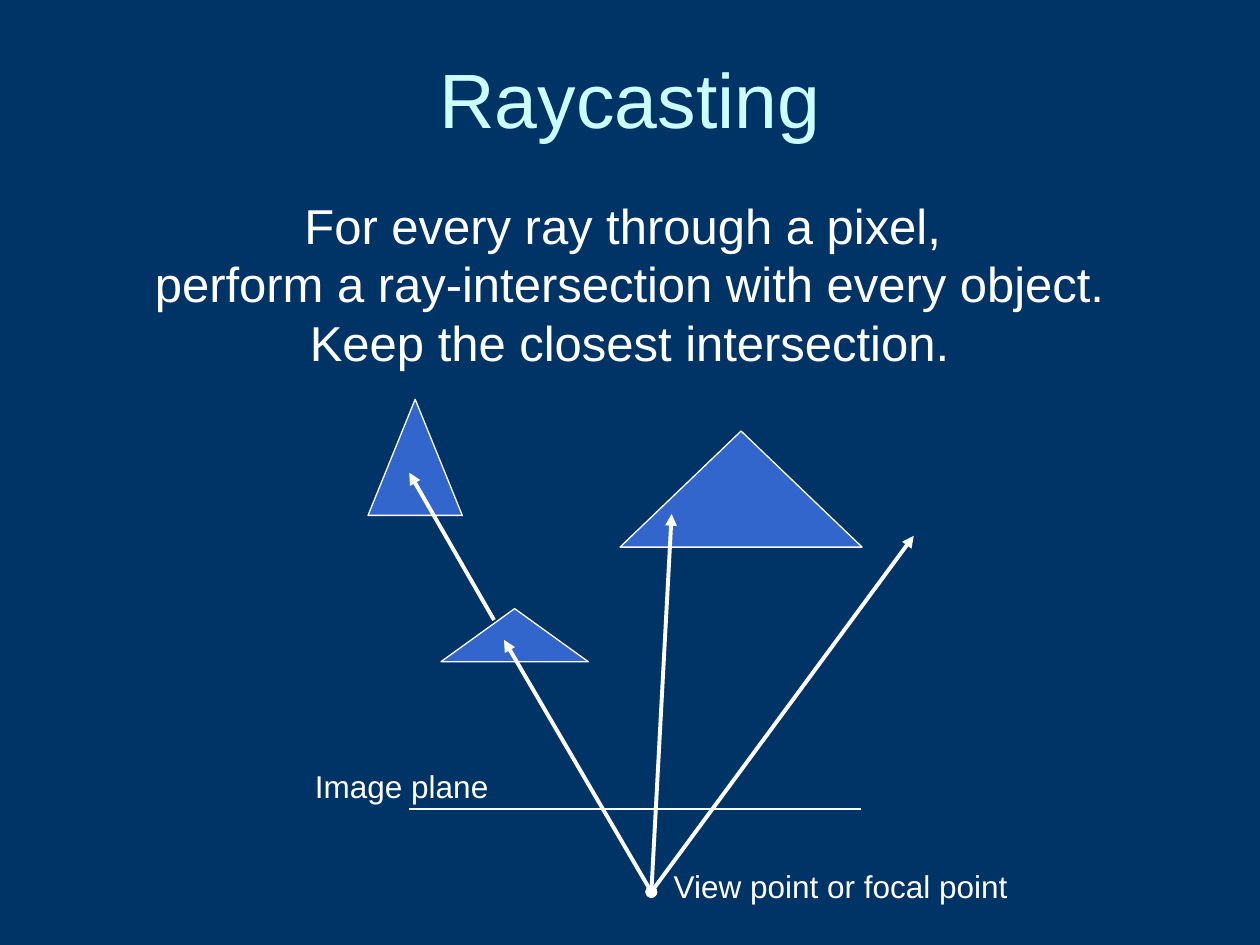
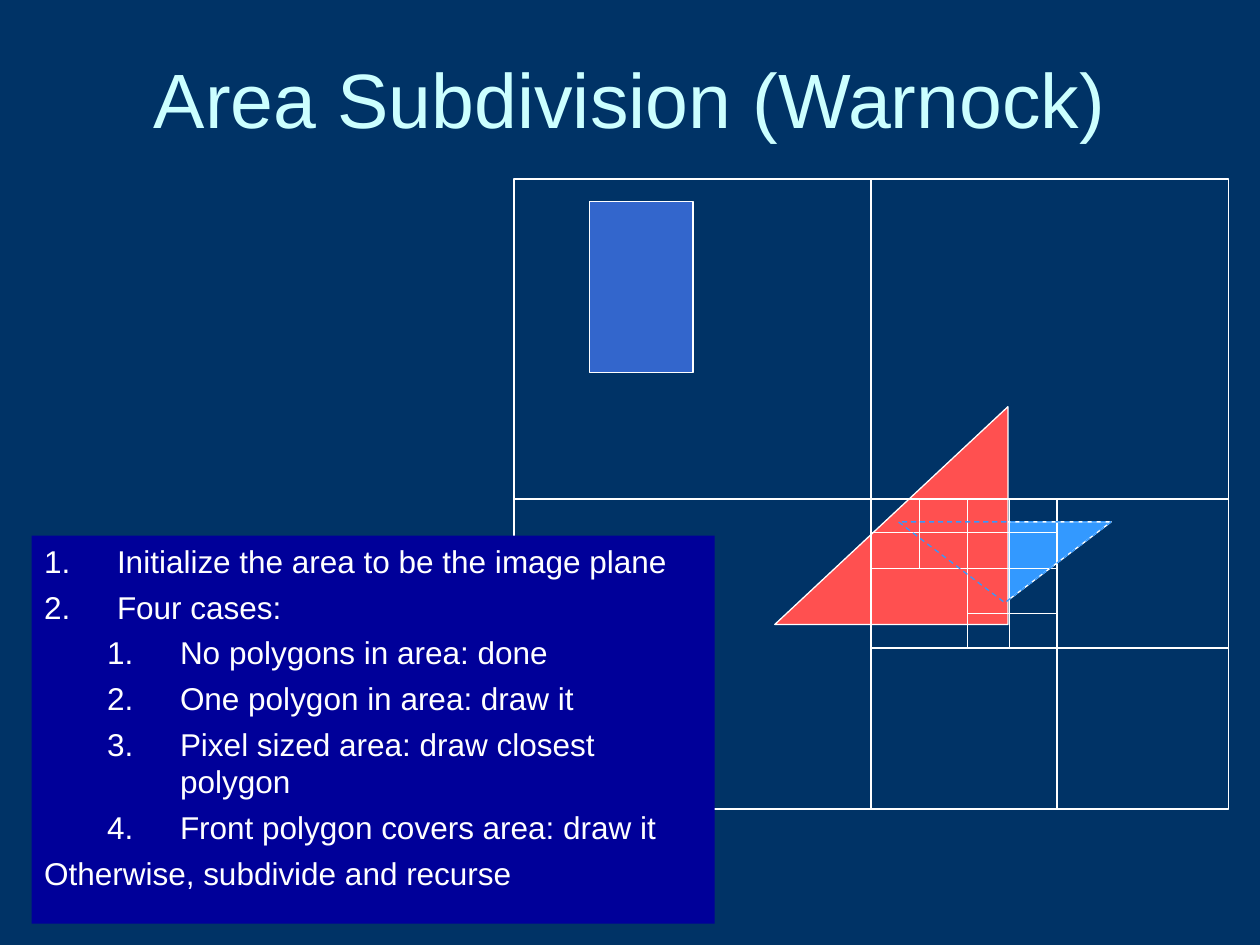
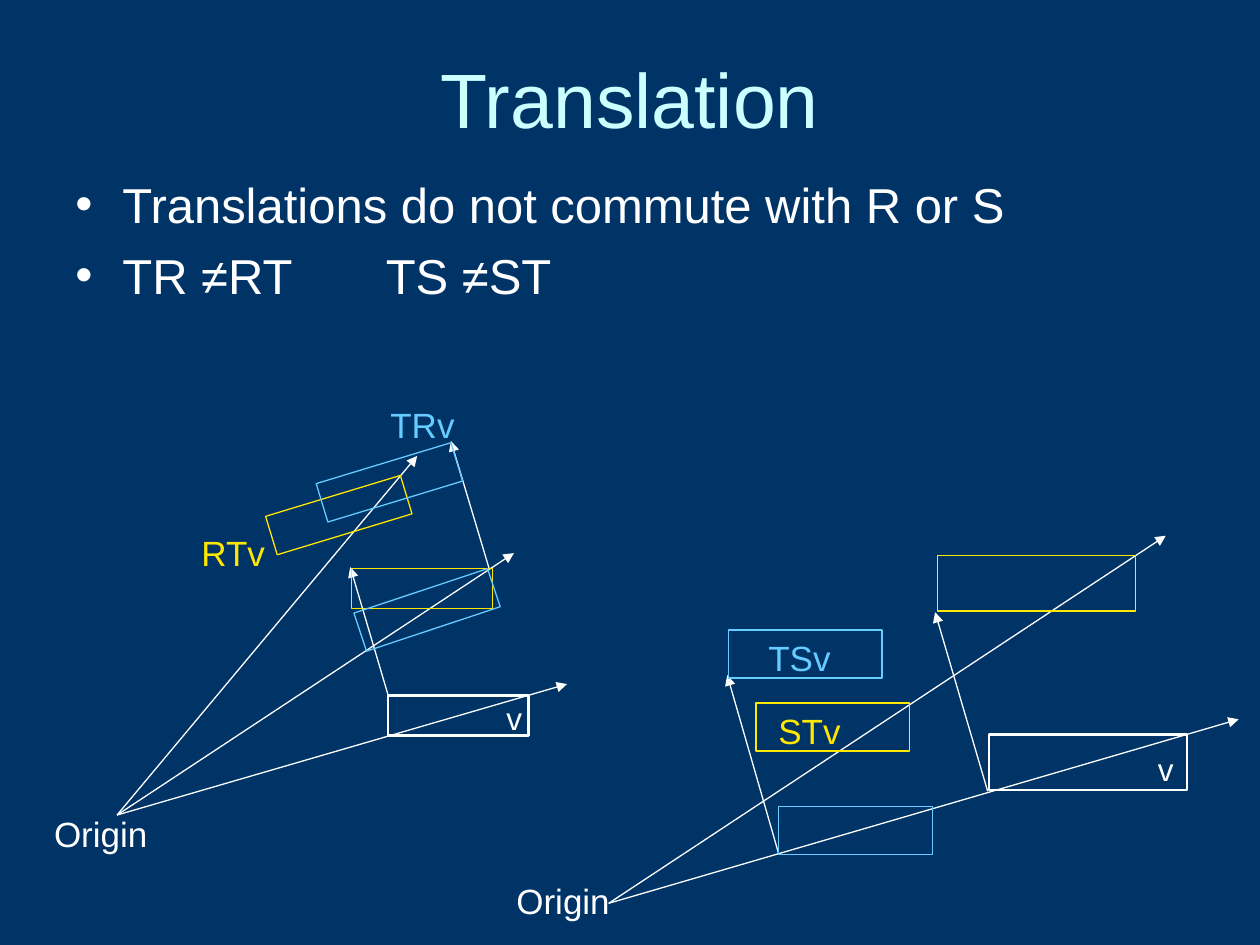
"""Builds three slides on ray casting, area subdivision and translation."""
from dataclasses import dataclass

from lxml import etree
from pptx import Presentation
from pptx.dml.color import RGBColor
from pptx.enum import dml, shapes, text
from pptx.oxml import ns
from pptx.util import Cm, Pt


@dataclass(frozen=True)
class Theme:
    """Colours, type sizes and line widths of the deck."""
    font: str = "Arial"
    background: str = "003366"
    heading: str = "CCFFFF"
    white: str = "FFFFFF"
    solid: str = "3366CC"
    red: str = "FF5050"
    azure: str = "3399FF"
    panel: str = "000099"
    sky: str = "66CCFF"
    yellow: str = "FFE701"
    title_size: int = 44
    body_size: int = 28
    label_size: int = 20
    small_size: int = 18
    thin: float = 0.75
    medium: float = 1.5
    thick: float = 2.25


@dataclass(frozen=True)
class Box:
    """A region in centimetres."""
    left: float
    top: float
    width: float
    height: float

    def point(self, x, y):
        """Return a slide position for an offset inside the region."""
        return Cm(self.left + x), Cm(self.top + y)

    def inner(self, x, y, width, height):
        """Return a region placed relative to this one."""
        return Box(self.left + x, self.top + y, width, height)

    def lengths(self):
        """Return left, top, width and height as lengths."""
        return Cm(self.left), Cm(self.top), Cm(self.width), Cm(self.height)


THEME = Theme()
PRESET = shapes.MSO_SHAPE
TITLE = Box(1.27, 0.76, 22.86, 2.41)


def rgb(value):
    """Turn a hex string into a colour."""
    return RGBColor.from_string(value)


def add_element(parent, tag, **attributes):
    """Append a DrawingML element to its parent."""
    return etree.SubElement(parent, ns.qn(tag), attributes)


def style_paragraph(paragraph, size, color):
    """Set the font of a whole paragraph."""
    paragraph.font.name = THEME.font
    paragraph.font.size = Pt(size)
    paragraph.font.color.rgb = rgb(color)


def indent(paragraph, left, hanging):
    """Set a hanging indent and return the paragraph properties."""
    properties = paragraph._p.get_or_add_pPr()
    properties.set("marL", str(Cm(left)))
    properties.set("indent", str(-Cm(hanging)))
    return properties


def add_bullet(properties, tag, **attributes):
    """Give a paragraph a white bullet or number."""
    bullet_color = add_element(properties, "a:buClr")
    add_element(bullet_color, "a:srgbClr", val=THEME.white)
    add_element(properties, "a:buFont", typeface=THEME.font)
    add_element(properties, tag, **attributes)


def add_lines(frame, lines):
    """Yield a paragraph for each line of text."""
    frame.word_wrap = True
    for index, line in enumerate(lines):
        paragraph = frame.add_paragraph() if index else frame.paragraphs[0]
        paragraph.text = line
        yield index, paragraph


def add_text(slide, box, lines, size, color=THEME.white, align=text.PP_ALIGN.LEFT,
             anchor=text.MSO_ANCHOR.TOP):
    """Place plain paragraphs in a region."""
    frame = slide.shapes.add_textbox(*box.lengths()).text_frame
    frame.vertical_anchor = anchor
    for _, paragraph in add_lines(frame, lines):
        paragraph.alignment = align
        style_paragraph(paragraph, size, color)


def add_figure(canvas, preset, box, fill=None, line=THEME.white, width=THEME.thin, rotation=0):
    """Draw a preset shape, hollow unless a fill is given."""
    figure = canvas.add_shape(preset, *box.lengths())
    figure.shadow.inherit = False
    figure.rotation = rotation
    if fill:
        figure.fill.solid()
        figure.fill.fore_color.rgb = rgb(fill)
    else:
        figure.fill.background()
    if line:
        figure.line.color.rgb = rgb(line)
        figure.line.width = Pt(width)
    else:
        figure.line.fill.background()
    return figure


def add_line(canvas, box, start, end, width=THEME.thin, head=None, tail=None):
    """Draw a white line between two offsets of a region."""
    line = canvas.add_connector(shapes.MSO_CONNECTOR.STRAIGHT, *box.point(*start), *box.point(*end))
    line.line.color.rgb = rgb(THEME.white)
    line.line.width = Pt(width)
    for tag, kind in (("a:headEnd", head), ("a:tailEnd", tail)):
        if kind:
            add_element(line.line._get_or_add_ln(), tag, type=kind)
    add_element(line._element.spPr, "a:effectLst")
    return line


def new_slide(deck, title):
    """Add a slide with the shared background and title."""
    slide = deck.slides.add_slide(deck.slide_layouts[6])
    slide.background.fill.solid()
    slide.background.fill.fore_color.rgb = rgb(THEME.background)
    add_text(slide, TITLE, [title], THEME.title_size, THEME.heading,
             text.PP_ALIGN.CENTER, text.MSO_ANCHOR.MIDDLE)
    return slide


def ray_scene(slide, box):
    """Draw rays from the view point towards the objects."""
    for spot in ((2.79, 4.22, 2.97, 1.07), (1.32, 0, 1.9, 2.34), (6.4, 0.64, 4.88, 2.34)):
        add_figure(slide.shapes, PRESET.ISOSCELES_TRIANGLE, box.inner(*spot), THEME.solid)
    add_line(slide.shapes, box, (2.15, 8.26), (11.25, 8.26))
    view_point = (7.03, 9.93)
    for hit in ((4.06, 4.85), (7.44, 2.31), (12.32, 2.75)):
        add_line(slide.shapes, box, view_point, hit, THEME.thick, "oval", "triangle")
    add_line(slide.shapes, box, (3.86, 4.45), (2.15, 1.48), THEME.thick, tail="triangle")
    add_text(slide, box.inner(0, 7.29, 4.3, 1.02), ["Image plane"], THEME.small_size)
    add_text(slide, box.inner(7.23, 9.3, 7.6, 1.02), ["View point or focal point"],
             THEME.small_size)


def subdivision(slide, box):
    """Draw the image plane with its polygons and recursive splits."""
    canvas = slide.shapes.add_group_shape().shapes
    hidden = box.inner(7.75, 6.91, 4.29, 1.63)
    add_figure(canvas, PRESET.ISOSCELES_TRIANGLE, hidden, THEME.azure, rotation=180)
    front = add_figure(canvas, PRESET.RIGHT_TRIANGLE, box.inner(5.26, 4.59, 4.7, 4.39), THEME.red)
    front._element.spPr.find(ns.qn("a:xfrm")).set("flipH", "1")
    plane = add_figure(canvas, PRESET.RECTANGLE, box)
    middle = box.width / 2
    halving = add_line(canvas, box, (middle, 0), (middle, box.height))
    halving.begin_connect(plane, 0)
    halving.end_connect(plane, 2)
    for y, left, right in ((6.45, 0, box.width), (9.45, middle, box.width),
                           (7.85, middle, 10.95), (7.13, middle, 10.95), (8.76, 9.15, 10.95)):
        add_line(canvas, box, (left, y), (right, y))
    for x, bottom in ((10.95, box.height), (9.15, 9.45), (8.18, 7.85), (9.99, 9.45)):
        add_line(canvas, box, (x, 6.45), (x, bottom))
    outline = add_figure(canvas, PRESET.ISOSCELES_TRIANGLE, hidden, line=THEME.azure, rotation=180)
    outline.line.dash_style = dml.MSO_LINE.DASH
    add_figure(canvas, PRESET.RECTANGLE, box.inner(1.53, 0.45, 2.08, 3.45), THEME.solid)


def algorithm_panel(slide, box, steps):
    """List numbered steps, given as level and wording, on a filled panel."""
    panel = add_figure(slide.shapes, PRESET.RECTANGLE, box, THEME.panel, None)
    frame = panel.text_frame
    frame.vertical_anchor = text.MSO_ANCHOR.TOP
    for index, paragraph in add_lines(frame, [wording for _, wording in steps]):
        level = steps[index][0]
        paragraph.alignment = text.PP_ALIGN.LEFT
        paragraph.level = level or 0
        properties = indent(paragraph, 1.47 + 1.27 * paragraph.level, 1.47)
        if index:
            paragraph.space_before = Pt(4.5)
        if level is not None:
            add_bullet(properties, "a:buAutoNum", type="arabicPeriod")
        style_paragraph(paragraph, THEME.small_size, THEME.white)


def bullet_list(slide, box, lines, tab):
    """Write bulleted lines with one tab stop."""
    frame = slide.shapes.add_textbox(*box.lengths()).text_frame
    for index, paragraph in add_lines(frame, lines):
        properties = indent(paragraph, 0.95, 0.95)
        if index:
            paragraph.space_before = Pt(7)
        add_bullet(properties, "a:buChar", char="•")
        stops = add_element(properties, "a:tabLst")
        add_element(stops, "a:tab", pos=str(Cm(tab)), algn="l")
        style_paragraph(paragraph, THEME.body_size, THEME.white)


def transform_figure(slide, box, origin, rays, shifts, outlines, labels, vector):
    """Draw rays from an origin, shift arrows, outlines and their labels."""
    arrows = [(origin, end) for end in rays] + shifts
    for start, end in arrows:
        add_line(slide.shapes, box, start, end, tail="triangle")
    for spot, color, rotation in outlines:
        width = THEME.medium if color == THEME.white else THEME.thin
        add_figure(slide.shapes, PRESET.RECTANGLE, box.inner(*spot), line=color, width=width,
                   rotation=rotation)
    for wording, x, y, color in labels:
        add_text(slide, box.inner(x, y, 2.6, 1.12), [wording], THEME.label_size, color)
    add_text(slide, box.inner(*vector, 1.2, 1.02), ["v"], THEME.small_size)


def raycasting_slide(deck):
    """Build the ray casting slide."""
    slide = new_slide(deck, "Raycasting")
    add_text(slide, Box(0.84, 3.81, 23.7, 3.81),
             ["For every ray through a pixel, ",
              "perform a ray-intersection with every object.",
              "Keep the closest intersection."],
             THEME.body_size, align=text.PP_ALIGN.CENTER)
    ray_scene(slide, Box(6.1, 8.05, 14.5, 10.4))


def subdivision_slide(deck):
    """Build the area subdivision slide."""
    slide = new_slide(deck, "Area Subdivision (Warnock)")
    subdivision(slide, Box(10.36, 3.61, 14.4, 12.7))
    algorithm_panel(slide, Box(0.64, 10.8, 13.77, 7.82), [
        (0, "Initialize the area to be the image plane"),
        (0, "Four cases:"),
        (1, "No polygons in area: done"),
        (1, "One polygon in area: draw it"),
        (1, "Pixel sized area: draw closest polygon"),
        (1, "Front polygon covers area: draw it"),
        (None, "Otherwise, subdivide and recurse")])


def translation_slide(deck):
    """Build the translation slide."""
    slide = new_slide(deck, "Translation")
    bullet_list(slide, Box(1.27, 3.39, 22.86, 3.2),
                ["Translations do not commute with R or S", "TR ≠RT\tTS ≠ST"], tab=6.26)
    bar, small, large = (2.84, 0.81), (3.1, 0.97), (3.99, 1.12)
    transform_figure(
        slide, Box(0.84, 8, 10.6, 9.4), (1.52, 8.43),
        rays=[(10.59, 5.79), (9.52, 3.15), (7.57, 1.19)],
        shifts=[((9.02, 3.46), (8.25, 0.89)), ((6.98, 6), (6.22, 3.43))],
        outlines=[((6.98, 6.02, *bar), THEME.white, 0),
                  ((6.25, 3.46, *bar), THEME.yellow, 0),
                  ((4.57, 1.98, *bar), THEME.yellow, 343.1),
                  ((6.35, 3.89, *bar), THEME.sky, 341.6),
                  ((5.59, 1.32, *bar), THEME.sky, 343.1)],
        labels=[("RTv", 2.97, 2.59, THEME.yellow), ("TRv", 6.78, 0, THEME.sky),
                ("Origin", 0, 8.26, THEME.white)],
        vector=(9.12, 5.97))
    transform_figure(
        slide, Box(10.16, 10.8, 14.81, 7.92), (2.11, 7.41),
        rays=[(14.81, 3.7), (13.34, 0)],
        shifts=[((5.54, 6.42), (4.5, 2.81)), ((9.75, 5.15), (8.69, 1.54))],
        outlines=[((5.54, 5.46, *small), THEME.sky, 0),
                  ((9.78, 4.01, *large), THEME.white, 0),
                  ((4.52, 1.9, *small), THEME.sky, 0),
                  ((8.74, 0.4, *large), THEME.yellow, 0),
                  ((5.08, 3.37, *small), THEME.yellow, 0)],
        labels=[("Origin", 0, 6.8, THEME.white), ("STv", 5.28, 3.37, THEME.yellow),
                ("TSv", 5.08, 1.9, THEME.sky)],
        vector=(12.93, 4.19))


def main():
    """Build and save the deck."""
    deck = Presentation()
    deck.slide_width, deck.slide_height = Cm(25.4), Cm(19.05)
    raycasting_slide(deck)
    subdivision_slide(deck)
    translation_slide(deck)
    deck.save("out.pptx")


if __name__ == "__main__":
    main()
